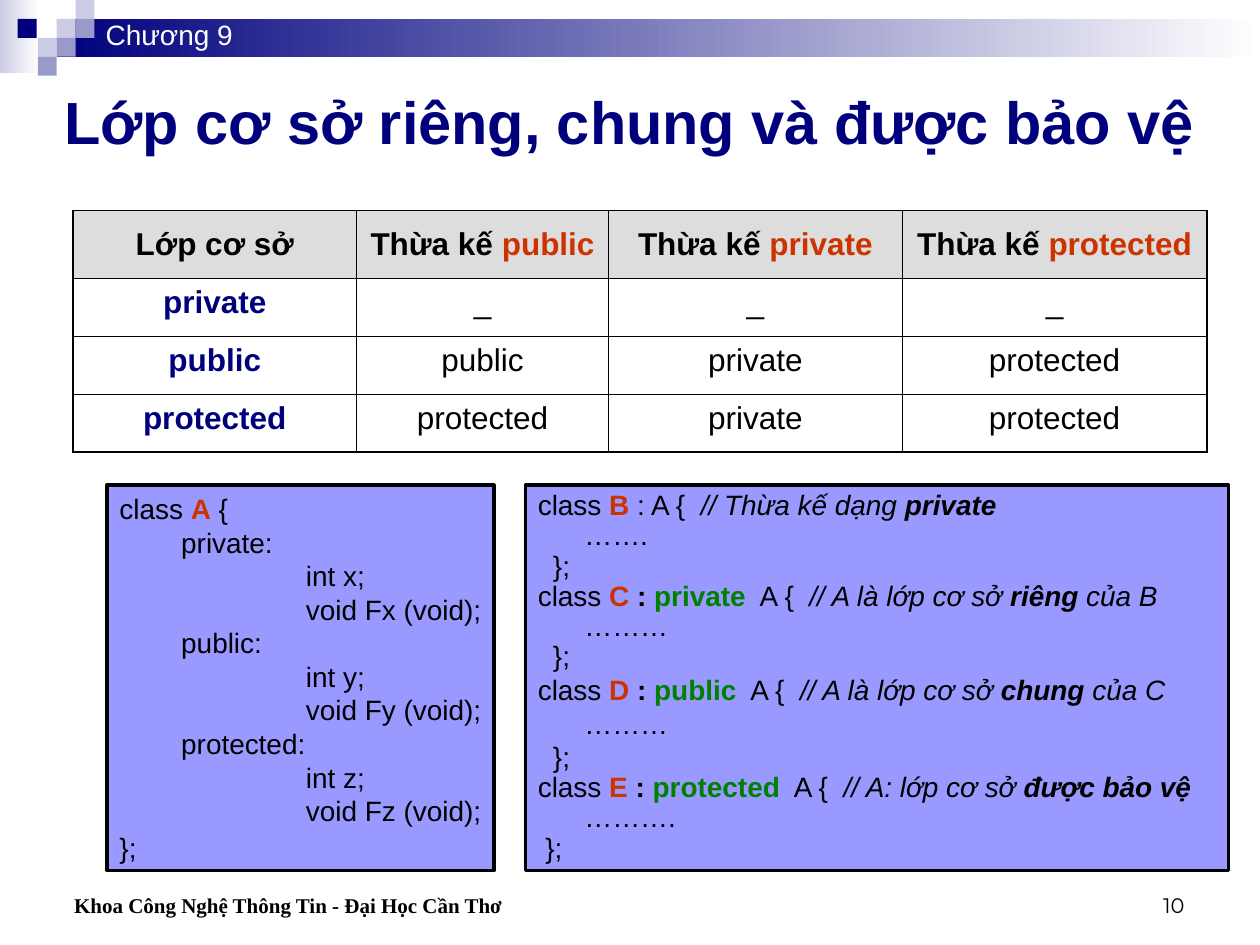
from lxml import etree
from pptx import Presentation
from pptx import util as u
from pptx.dml.color import RGBColor
from pptx.enum import shapes, text
from pptx.oxml.ns import qn

THEME = {
    "navy": "00007D", "pale": "CCCCE6", "mid": "9999CC", "panel": "9999FF",
    "header": "DDDDDD", "red": "CC3300", "green": "008000",
    "black": "000000", "white": "FFFFFF",
    "font": "Arial", "footer_font": "Times New Roman", "number_font": "Montserrat",
    "title": 34, "table": 18, "code": 16, "small": 12,
    "outer": 1.08, "inner": 0.45,
}
STYLES = {
    "plain": {},
    "bold": {"bold": True},
    "name": {"color": "red", "bold": True},
    "key": {"color": "green", "bold": True},
    "note": {"italic": True},
    "strong": {"bold": True, "italic": True},
    "row": {"color": "navy", "bold": True},
}

CHAPTER = "Chương 9"
TITLE = "Lớp cơ sở riêng, chung và được bảo vệ"
FOOTER = "Khoa Công Nghệ Thông Tin - Đại Học Cần Thơ"
NUMBER = "10"

BANDS = [((0, 0, 0.31, 0.58), "pale"), ((0.45, 0.15, 9.55, 0.3), "navy")]
SQUARES = [
    (0.45, 0.15, "pale"), (0.6, 0, "pale"), (0.6, 0.15, "mid"), (0.3, 0.3, "pale"),
    (0.14, 0.15, "navy"), (0.45, 0.3, "mid"), (0.3, 0.45, "mid"),
]
SQUARE = 0.15

ACCESS = ["public", "private", "protected"]
INHERITED = [
    ("private", ["_", "_", "_"]),
    ("public", ["public", "private", "protected"]),
    ("protected", ["protected", "private", "protected"]),
]
COLUMNS = [2.25, 2, 2.33, 2.42]
ROWS = [0.54, 0.46, 0.46, 0.46]

MEMBERS = [("private:", "x"), ("public:", "y"), ("protected:", "z")]
DERIVED = [
    ([("B", "name"), (" : A {  ", "plain"), ("// Thừa kế dạng ", "note"),
      ("private", "strong")], "…….", 0.12, 0.9),
    ([("C ", "name"), (": ", "bold"), ("private", "key"), ("  A {  ", "plain"),
      ("// A là lớp cơ sở ", "note"), ("riêng", "strong"), (" của B", "note")],
     "………", 0.12, 0.9),
    ([("D ", "name"), (": ", "bold"), ("public", "key"), ("  A {  ", "plain"),
      ("// A là lớp cơ sở ", "note"), ("chung", "strong"), (" của C", "note")],
     "………", 0.12, 1.0),
    ([("E ", "name"), (": ", "bold"), ("protected", "key"), ("  A {  ", "plain"),
      ("// A: lớp cơ sở ", "note"), ("được bảo vệ", "strong")],
     "……….", 0.06, 0.9),
]


def color(name):
    return RGBColor.from_string(THEME[name])


def write(para, spans, size="code", font="font", base="black", align="LEFT",
          before=0, spacing=None, indent=0):
    para.alignment = getattr(text.PP_ALIGN, align)
    para.space_before = u.Pt(before)
    if spacing:
        para.line_spacing = spacing
    if indent:
        para._p.get_or_add_pPr().set("marL", str(u.Inches(indent)))
    for words, style in spans:
        look = STYLES[style]
        span = para.add_run()
        span.text = words
        span.font.name = THEME[font]
        span.font.size = u.Pt(THEME[size])
        span.font.bold = look.get("bold", False)
        span.font.italic = look.get("italic", False)
        span.font.color.rgb = color(look.get("color", base))


def place(shape, area):
    shape.left, shape.top, shape.width, shape.height = map(u.Inches, area)


def add_label(page, area, words, style="plain", anchor="TOP", **format):
    box = page.shapes.add_textbox(*map(u.Inches, area))
    box.text_frame.word_wrap = True
    box.text_frame.vertical_anchor = getattr(text.MSO_ANCHOR, anchor)
    write(box.text_frame.paragraphs[0], [(words, style)], **format)


def add_rectangle(page, area, fill, gradient=False):
    box = page.shapes.add_shape(shapes.MSO_SHAPE.RECTANGLE, *map(u.Inches, area))
    box.shadow.inherit = False
    box.line.fill.background()
    if gradient:
        box.fill.gradient()
        box.fill.gradient_angle = 180
        for stop, name in zip(box.fill.gradient_stops, ("white", fill)):
            stop.color.rgb = color(name)
    else:
        box.fill.solid()
        box.fill.fore_color.rgb = color(fill)
    return box


def add_code(page, area, lines, right_inset=0.1):
    box = add_rectangle(page, area, "panel")
    box.line.color.rgb = color("black")
    box.line.width = u.Pt(2)
    frame = box.text_frame
    frame.word_wrap = True
    frame.vertical_anchor = text.MSO_ANCHOR.MIDDLE
    frame.margin_right = u.Inches(right_inset)
    for index, (spans, indent, spacing) in enumerate(lines):
        para = frame.add_paragraph() if index else frame.paragraphs[0]
        write(para, spans, indent=indent, spacing=spacing)


def add_border(cell, side, width):
    line = etree.SubElement(cell._tc.get_or_add_tcPr(), qn("a:" + side),
                            w=str(u.Pt(width)))
    fill = etree.SubElement(line, qn("a:solidFill"))
    etree.SubElement(fill, qn("a:srgbClr"), val=THEME["black"])


def add_access_table(page, left, top):
    rows = [[[("Lớp cơ sở", "bold")]]
            + [[("Thừa kế ", "bold"), (kind, "name")] for kind in ACCESS]]
    rows += [[[(base, "row")]] + [[(kind, "plain")] for kind in kinds]
             for base, kinds in INHERITED]
    area = (left, top, sum(COLUMNS), sum(ROWS))
    table = page.shapes.add_table(len(ROWS), len(COLUMNS), *map(u.Inches, area)).table
    table.first_row = table.horz_banding = False
    for column, width in zip(table.columns, COLUMNS):
        column.width = u.Inches(width)
    for r, (row, height) in enumerate(zip(rows, ROWS)):
        table.rows[r].height = u.Inches(height)
        for c, spans in enumerate(row):
            cell = table.cell(r, c)
            edges = {"lnL": c == 0, "lnR": c == len(COLUMNS) - 1,
                     "lnT": r == 0, "lnB": r == len(ROWS) - 1}
            for side, outer in edges.items():
                add_border(cell, side, THEME["outer" if outer else "inner"])
            if r == 0:
                cell.fill.solid()
                cell.fill.fore_color.rgb = color("header")
                cell.vertical_anchor = text.MSO_ANCHOR.MIDDLE
            else:
                cell.fill.background()
            write(cell.text_frame.paragraphs[0], spans, size="table",
                  align="CENTER", before=4.5)


def main():
    deck = Presentation()
    deck.slide_width, deck.slide_height = u.Inches(10), u.Inches(7.5)
    page = deck.slides.add_slide(deck.slide_layouts[5])

    for area, fill in BANDS:
        add_rectangle(page, area, fill, gradient=True)
    for left, top, fill in SQUARES:
        add_rectangle(page, (left, top, SQUARE, SQUARE), fill)

    title = page.shapes.title
    place(title, (0.33, 0.5, 9.33, 0.92))
    title.text_frame.auto_size = text.MSO_AUTO_SIZE.NONE
    title.text_frame.vertical_anchor = text.MSO_ANCHOR.MIDDLE
    write(title.text_frame.paragraphs[0], [(TITLE, "row")], size="title", align="CENTER")
    add_label(page, (0.74, 0.09, 1.75, 0.37), CHAPTER, base="white")

    base_lines = [([("class ", "plain"), ("A", "name"), (" {", "plain")], 0, 1.0)]
    for access, member in MEMBERS:
        base_lines += [
            ([(access, "plain")], 0.49, 1.0),
            ([(f"int {member};", "plain")], 1.48, 1.0),
            ([(f"void F{member} (void);", "plain")], 1.48, 1.0),
        ]
    base_lines.append(([("};", "plain")], 0, 1.1))
    add_code(page, (0.85, 3.85, 3.07, 3.06), base_lines, right_inset=0)

    derived_lines = []
    for heading, dots, closing, spacing in DERIVED:
        derived_lines += [
            ([("class ", "plain")] + heading, 0, spacing),
            ([(dots, "plain")], 0.37, spacing),
            ([("};", "plain")], closing, spacing),
        ]
    add_code(page, (4.17, 3.85, 5.58, 3.06), derived_lines)

    add_access_table(page, 0.58, 1.67)
    add_label(page, (0.25, 6.83, 4.83, 0.5), FOOTER, style="bold", anchor="BOTTOM",
              size="small", font="footer_font", indent=0.24)
    add_label(page, (7.17, 6.83, 2.33, 0.5), NUMBER, anchor="BOTTOM",
              size="small", font="number_font", align="RIGHT")
    deck.save("out.pptx")


if __name__ == "__main__":
    main()
